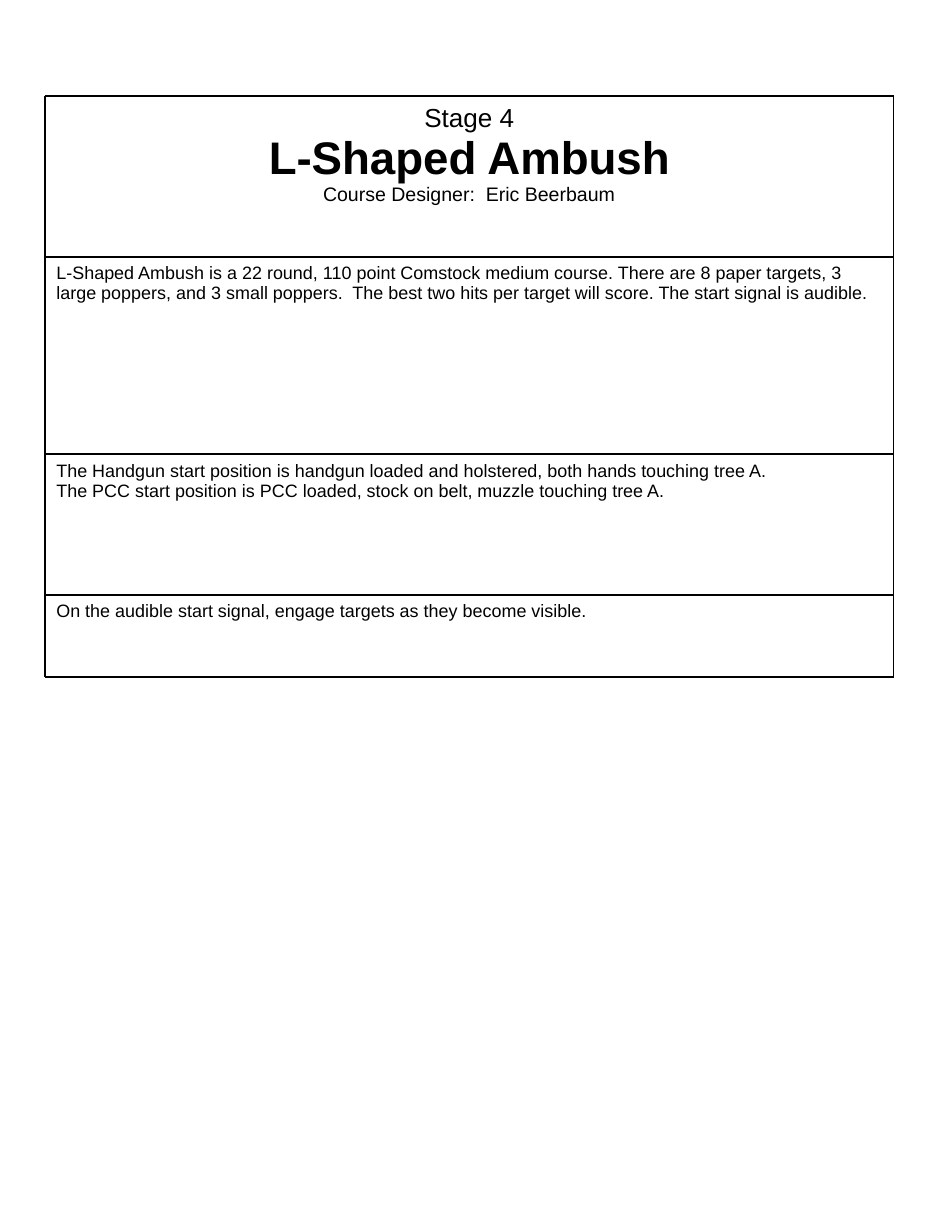
from dataclasses import dataclass
from itertools import pairwise

from lxml import etree
from pptx import Presentation
from pptx import util as u
from pptx.dml.color import RGBColor
from pptx.enum import shapes, text
from pptx.oxml.ns import qn
from pptx.shapes.shapetree import GroupShapes

LEFT, RIGHT = 0.97, 19.34
EDGES = [2.08, 5.56, 9.83, 12.88, 14.66]
BLACK, WHITE = "000000", "FFFFFF"


@dataclass
class Line:
    text: str
    size: float = 11
    bold: bool = False


@dataclass
class Section:
    lines: list[Line]
    align: text.PP_ALIGN = text.PP_ALIGN.LEFT
    inset_top: float = 0.15


SECTIONS = [
    Section(
        [
            Line("Stage 4", 16),
            Line("L-Shaped Ambush", 28, True),
            Line("Course Designer:  Eric Beerbaum", 12),
        ],
        text.PP_ALIGN.CENTER,
        0.18,
    ),
    Section([
        Line(
            "L-Shaped Ambush is a 22 round, 110 point Comstock medium course. "
            "There are 8 paper targets, 3 large poppers, and 3 small poppers.  "
            "The best two hits per target will score. The start signal is audible."
        ),
    ]),
    Section([
        Line("The Handgun start position is handgun loaded and holstered, both hands touching tree A."),
        Line("The PCC start position is PCC loaded, stock on belt, muzzle touching tree A."),
    ]),
    Section([Line("On the audible start signal, engage targets as they become visible.")]),
]


def color(value: str) -> RGBColor:
    return RGBColor.from_string(value)


def draw_section(tree: GroupShapes, section: Section, top: float, bottom: float) -> None:
    sp = tree.add_shape(
        shapes.MSO_SHAPE.RECTANGLE,
        u.Cm(LEFT), u.Cm(top), u.Cm(RIGHT - LEFT), u.Cm(bottom - top),
    )
    sp.shadow.inherit = False
    sp.fill.solid()
    sp.fill.fore_color.rgb = color(WHITE)
    sp.line.fill.background()
    tf = sp.text_frame
    tf.word_wrap = True
    tf.vertical_anchor = text.MSO_ANCHOR.TOP
    tf.margin_left = tf.margin_right = u.Cm(0.25)
    tf.margin_top, tf.margin_bottom = u.Cm(section.inset_top), u.Cm(0.13)
    for i, line in enumerate(section.lines):
        p = tf.add_paragraph() if i else tf.paragraphs[0]
        p.text = line.text
        p.alignment = section.align
        p.line_spacing = 0.93
        p.font.name = "Arial"
        p.font.size = u.Pt(line.size)
        p.font.bold = line.bold
        p.font.color.rgb = color(BLACK)


def draw_rule(tree: GroupShapes, x1: float, y1: float, x2: float, y2: float) -> None:
    rule = tree.add_connector(
        shapes.MSO_CONNECTOR.STRAIGHT, u.Cm(x1), u.Cm(y1), u.Cm(x2), u.Cm(y2)
    )
    rule.line.color.rgb = color(BLACK)
    rule.line.width = u.Pt(0.91)
    etree.SubElement(rule._element.spPr, qn("a:effectLst"))


def main() -> None:
    prs = Presentation()
    prs.slide_width, prs.slide_height = u.Cm(20.32), u.Cm(26.67)
    s = prs.slides.add_slide(prs.slide_layouts[6])
    tree = s.shapes.add_group_shape().shapes
    rows = list(pairwise(EDGES))
    for section, (top, bottom) in zip(SECTIONS, rows):
        draw_section(tree, section, top, bottom)
    for y in EDGES:
        draw_rule(tree, LEFT, y, RIGHT, y)
    for x in (LEFT, RIGHT):
        for top, bottom in rows:
            draw_rule(tree, x, top, x, bottom)
    prs.save("out.pptx")


if __name__ == "__main__":
    main()
